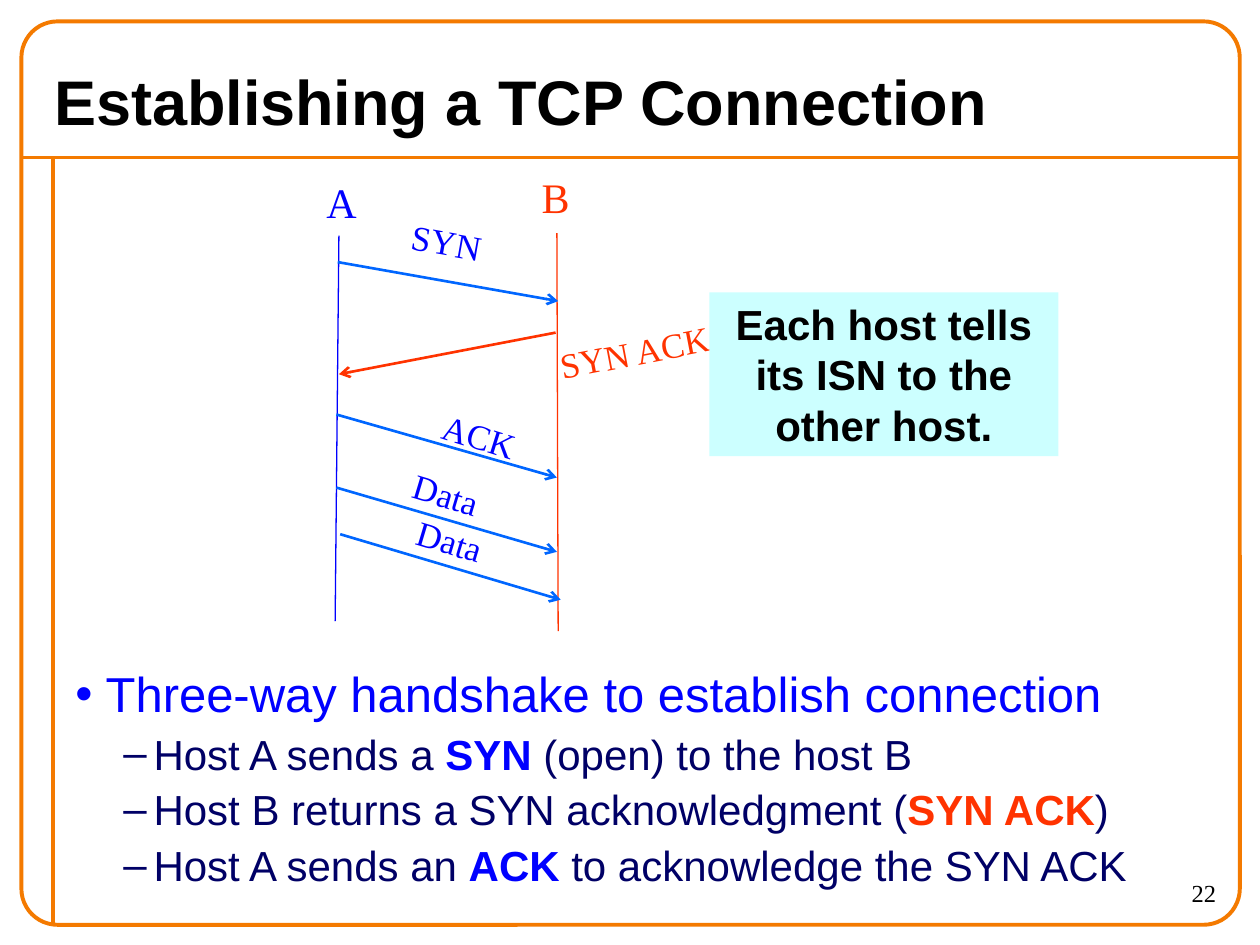
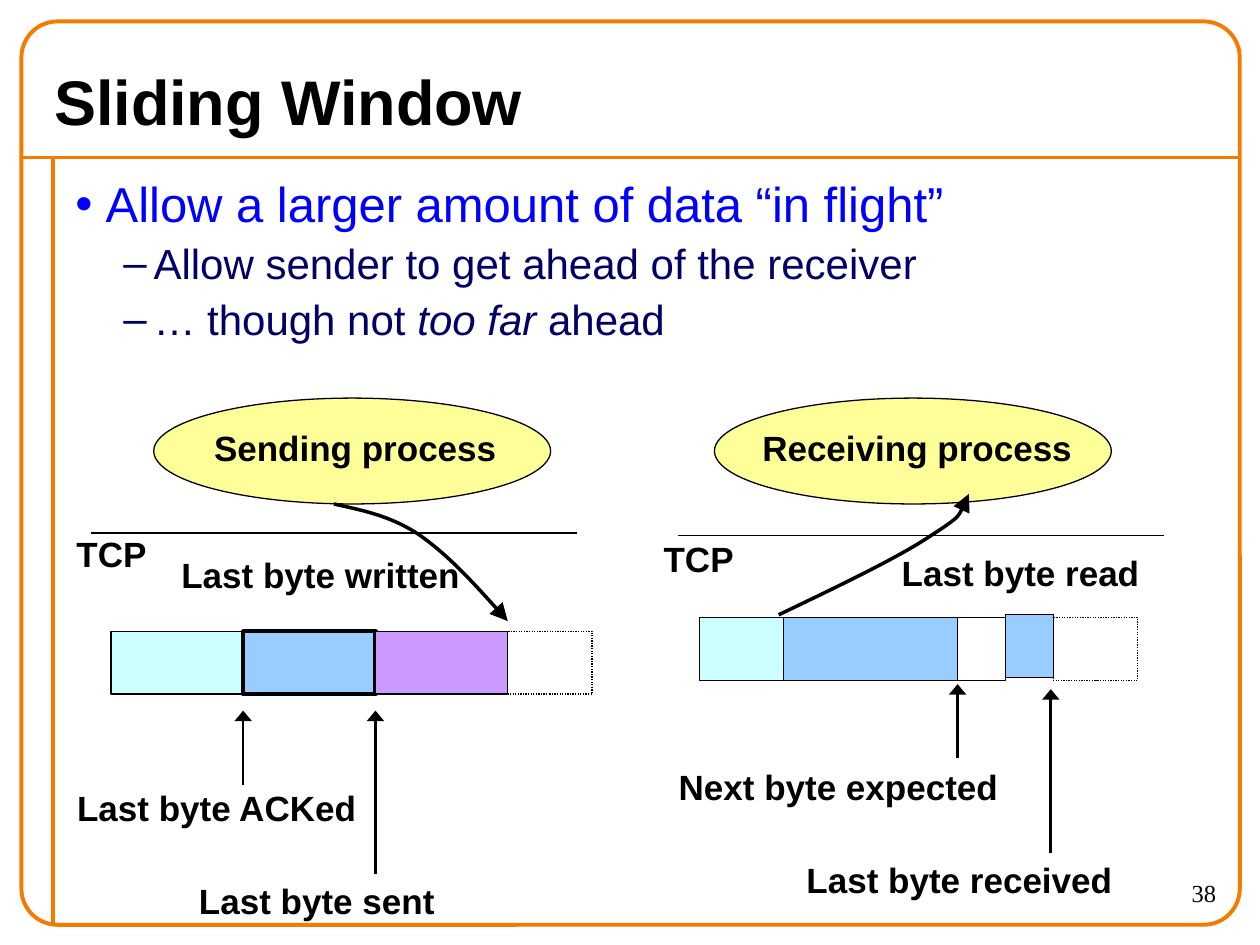
from itertools import accumulate

from lxml import etree
from pptx import Presentation
from pptx import util as u
from pptx.dml.color import RGBColor
from pptx.enum import dml, shapes, text
from pptx.oxml.ns import qn

# Shared colours and fonts
ORANGE = RGBColor(0xF4, 0x7A, 0x00)
BLACK = RGBColor(0x00, 0x00, 0x00)
WHITE = RGBColor(0xFF, 0xFF, 0xFF)
BLUE = RGBColor(0x00, 0x00, 0xFF)
ARROW_BLUE = RGBColor(0x00, 0x66, 0xFF)
NAVY = RGBColor(0x00, 0x00, 0x66)
RED = RGBColor(0xFF, 0x33, 0x00)
AQUA = RGBColor(0xCC, 0xFF, 0xFF)
SKY = RGBColor(0x99, 0xCC, 0xFF)
PURPLE = RGBColor(0xCC, 0x99, 0xFF)
YELLOW = RGBColor(0xFF, 0xFF, 0x99)
SANS, SERIF = "Arial", "Times New Roman"

CENTER, RIGHT = text.PP_ALIGN.CENTER, text.PP_ALIGN.RIGHT
RECT, OVAL = shapes.MSO_SHAPE.RECTANGLE, shapes.MSO_SHAPE.OVAL


def inches(*lengths):
    return [u.Inches(length) for length in lengths]


def add_span(para, words, size, color, font=SANS, bold=False, italic=False):
    span = para.add_run()
    span.text = words
    span.font.name, span.font.size = font, u.Pt(size)
    span.font.bold, span.font.italic = bold, italic
    span.font.color.rgb = color


def style_line(line, color, width):
    line.color.rgb = color
    line.width = u.Pt(width)


def add_head(shape, head, width="med", length="med"):
    outline = shape._element.spPr.find(qn("a:ln"))
    etree.SubElement(outline, qn("a:tailEnd"), type=head, w=width, len=length)


def add_line(slide, start, end, color=BLACK, width=0.75, head=None):
    line = slide.shapes.add_connector(
        shapes.MSO_CONNECTOR.STRAIGHT, *inches(*start, *end))
    style_line(line.line, color, width)
    if head:
        add_head(line, head, "lg" if head == "triangle" else "med")
    etree.SubElement(line._element.spPr, qn("a:effectLst"))


def add_box(slide, kind, area, fill=None, line=None, width=0.75):
    box = slide.shapes.add_shape(kind, *inches(*area))
    box.shadow.inherit = False
    if fill is None:
        box.fill.background()
    else:
        box.fill.solid()
        box.fill.fore_color.rgb = fill
    if line is None:
        box.line.fill.background()
    else:
        style_line(box.line, line, width)
    return box


def add_label(slide, words, area, size=20, color=BLACK, font=SANS,
              bold=False, turn=0):
    """One centred line of text with narrow side margins."""
    box = slide.shapes.add_textbox(*inches(*area))
    box.rotation = turn
    frame = box.text_frame
    frame.word_wrap = False
    frame.auto_size = text.MSO_AUTO_SIZE.SHAPE_TO_FIT_TEXT
    frame.margin_left = frame.margin_right = u.Inches(0.03)
    frame.vertical_anchor = text.MSO_ANCHOR.MIDDLE
    para = frame.paragraphs[0]
    para.alignment = CENTER
    add_span(para, words, size, color, font, bold)


def add_curve(slide, points):
    """Arrow along cubic curves: a start, then three points per curve."""
    start, *rest = [inches(*point) for point in points]
    builder = slide.shapes.build_freeform(*start)
    builder.add_line_segments(rest, close=False)
    curve = builder.convert_to_shape()
    curve.shadow.inherit = False
    curve.fill.background()
    style_line(curve.line, BLACK, 2)
    add_head(curve, "triangle", "lg", "lg")
    # Turn every three straight segments into one cubic curve
    outline = next(curve._element.iter(qn("a:path")))
    segments = outline.findall(qn("a:lnTo"))
    for first in range(0, len(segments), 3):
        cubic = etree.SubElement(outline, qn("a:cubicBezTo"))
        for segment in segments[first:first + 3]:
            cubic.append(segment[0])
            outline.remove(segment)


def add_bullets(slide, area, heading, items):
    """One heading bullet, then dashed items made of (words, style) spans."""
    box = slide.shapes.add_textbox(*inches(*area))
    frame = box.text_frame
    frame.word_wrap = True
    rows = [("•", 0.24, 28, BLUE, [(heading, {})])]
    rows += [("–", 0.62, 24, NAVY, spans) for spans in items]
    for index, (mark, margin, size, color, spans) in enumerate(rows):
        para = frame.add_paragraph() if index else frame.paragraphs[0]
        if index:
            para.level = 1
            para.space_before = u.Pt(3)
        props = para._p.get_or_add_pPr()
        props.set("marL", str(u.Inches(margin)))
        props.set("indent", str(u.Inches(-0.24)))
        tint = etree.SubElement(props, qn("a:buClr"))
        etree.SubElement(tint, qn("a:srgbClr"), val=str(color))
        etree.SubElement(props, qn("a:buFont"), typeface=SANS)
        etree.SubElement(props, qn("a:buChar"), char=mark)
        for words, style in spans:
            add_span(para, words, size, **{"color": color, **style})


def add_slide(deck, title, number):
    """Title-only slide with the orange frame, title and page number."""
    slide = deck.slides.add_slide(deck.slide_layouts[5])
    add_line(slide, (0.17, 1.25), (9.83, 1.25), ORANGE, 2.25)
    add_line(slide, (0.42, 1.25), (0.42, 7.33), ORANGE, 2.25)
    frame = add_box(slide, shapes.MSO_SHAPE.ROUNDED_RECTANGLE,
                    (0.17, 0.17, 9.67, 7.17), line=ORANGE, width=2.25)
    frame.adjustments[0] = 0.04

    holder = slide.shapes.title
    holder.left, holder.top, holder.width, holder.height = inches(
        0.33, 0.42, 8.82, 0.75)
    holder.text_frame.auto_size = text.MSO_AUTO_SIZE.NONE
    holder.text_frame.vertical_anchor = text.MSO_ANCHOR.MIDDLE
    para = holder.text_frame.paragraphs[0]
    para.alignment = text.PP_ALIGN.LEFT
    add_span(para, title, 36, BLACK, bold=True)

    page = slide.shapes.add_textbox(*inches(8.75, 6.92, 1, 0.42))
    page.text_frame.word_wrap = True
    para = page.text_frame.paragraphs[0]
    para.alignment = RIGHT
    add_span(para, str(number), 14, BLACK, SERIF)
    return slide


def build_handshake(deck):
    slide = add_slide(deck, "Establishing a TCP Connection", 22)
    key_blue = {"color": BLUE, "bold": True}
    key_red = {"color": RED, "bold": True}
    add_bullets(
        slide, (0.5, 5.22, 9.25, 2.12),
        "Three-way handshake to establish connection",
        [[("Host A sends a ", {}), ("SYN", key_blue),
          (" (open) to the host B", {})],
         [("Host B returns a SYN acknowledgment (", {}),
          ("SYN ACK", key_red), (")", {})],
         [("Host A sends an ", {}), ("ACK", key_blue),
          (" to acknowledge the SYN ACK", {})]])

    # Host timelines
    add_line(slide, (2.69, 1.87), (2.66, 4.93), BLUE)
    add_line(slide, (4.42, 1.85), (4.43, 5.01), RED)
    add_label(slide, "A", (2.49, 1.35, 0.44, 0.5), 24, BLUE, SERIF)
    add_label(slide, "B", (4.2, 1.31, 0.42, 0.5), 24, RED, SERIF)

    # Messages: arrow start and end, label area and turn
    messages = [
        ("SYN", (2.68, 2.08), (4.43, 2.39), (3.17, 1.7, 0.75, 0.44), 10.1),
        ("SYN ACK", (4.41, 2.64), (2.69, 2.97), (4.32, 2.57, 1.43, 0.44), -10.9),
        ("ACK", (2.67, 3.29), (4.42, 3.79), (3.41, 3.24, 0.79, 0.44), 17.4),
        ("Data", (2.67, 3.87), (4.42, 4.38), (3.18, 3.7, 0.72, 0.44), 16.7),
        ("Data", (2.7, 4.24), (4.45, 4.76), (3.21, 4.07, 0.72, 0.44), 16.7),
    ]
    for words, start, end, area, turn in messages:
        from_b = start[0] > end[0]
        add_line(slide, start, end, RED if from_b else ARROW_BLUE, 1.5, "arrow")
        add_label(slide, words, area, color=RED if from_b else BLUE,
                  font=SERIF, turn=turn)

    # Callout
    callout = add_box(slide, RECT, (5.63, 2.32, 2.77, 1.3), AQUA)
    callout.text_frame.word_wrap = True
    para = callout.text_frame.paragraphs[0]
    para.alignment = CENTER
    add_span(para, "Each host tells its ISN to the other host.", 24, BLACK,
             bold=True)


def add_buffer(slide, left, top, cells):
    """Row of touching cells: (width, fill, line width, rise); no fill is dotted."""
    lefts = accumulate((cell[0] for cell in cells), initial=left)
    for x, (width, fill, line_width, rise) in zip(lefts, cells):
        cell = add_box(slide, RECT, (x, top - rise, width, 0.5), fill,
                       BLACK, line_width)
        if fill is None:
            cell.line.dash_style = dml.MSO_LINE.ROUND_DOT


def build_window(deck):
    slide = add_slide(deck, "Sliding Window", 38)
    add_bullets(
        slide, (0.5, 1.33, 9.25, 1.7),
        "Allow a larger amount of data “in flight”",
        [[("Allow sender to get ahead of the receiver", {})],
         [("… though not ", {}), ("too far", {"italic": True}),
          (" ahead", {})]])

    # Processes above the TCP boundary lines
    for left in (1.22, 5.67):
        add_box(slide, OVAL, (left, 3.16, 3.15, 0.84), YELLOW, BLACK)
    for left, y in ((0.72, 4.23), (5.38, 4.25)):
        add_line(slide, (left, y), (left + 3.86, y))

    # Send and receive buffers
    add_buffer(slide, 0.88, 5.01, [
        (1.05, AQUA, 0.75, 0), (1.05, SKY, 2.5, 0),
        (1.05, PURPLE, 0.75, 0), (0.67, None, 0.75, 0)])
    add_buffer(slide, 5.55, 4.9, [
        (0.67, AQUA, 0.75, 0), (1.38, SKY, 0.75, 0), (0.38, WHITE, 0.75, 0),
        (0.38, SKY, 0.75, 0.02), (0.67, None, 0.75, 0)])

    # Data flow between processes and buffers
    add_curve(slide, [(2.65, 4), (2.87, 4.05), (3.09, 4.09), (3.32, 4.24),
                      (3.55, 4.4), (3.79, 4.66), (4.03, 4.93)])
    add_curve(slide, [(6.18, 4.88), (6.66, 4.65), (7.14, 4.42), (7.39, 4.25),
                      (7.64, 4.09), (7.66, 4.01), (7.69, 3.92)])

    # Pointers into the buffers
    for x, bottom, top in ((1.93, 6.23, 5.64), (2.98, 6.94, 5.64),
                           (7.6, 6.02, 5.43), (8.34, 6.77, 5.47)):
        add_line(slide, (x, bottom), (x, top), width=1.5, head="triangle")

    # Labels: words, left, top, width
    labels = [
        ("Sending process", 1.6, 3.33, 2.44),
        ("Receiving process", 5.95, 3.33, 2.66),
        ("TCP", 0.51, 4.17, 0.75),
        ("TCP", 5.17, 4.21, 0.75),
        ("Last byte written", 1.34, 4.34, 2.41),
        ("Last byte read", 7.06, 4.32, 2.08),
        ("Last byte ACKed", 0.51, 6.19, 2.42),
        ("Last byte sent", 1.48, 6.93, 2.07),
        ("Next byte expected", 5.29, 6.02, 2.73),
        ("Last byte received", 6.3, 6.76, 2.63),
    ]
    for words, left, top, width in labels:
        add_label(slide, words, (left, top, width, 0.44), bold=True)


def main():
    deck = Presentation()
    deck.slide_width, deck.slide_height = inches(10, 7.5)
    build_handshake(deck)
    build_window(deck)
    deck.save("out.pptx")


if __name__ == "__main__":
    main()
